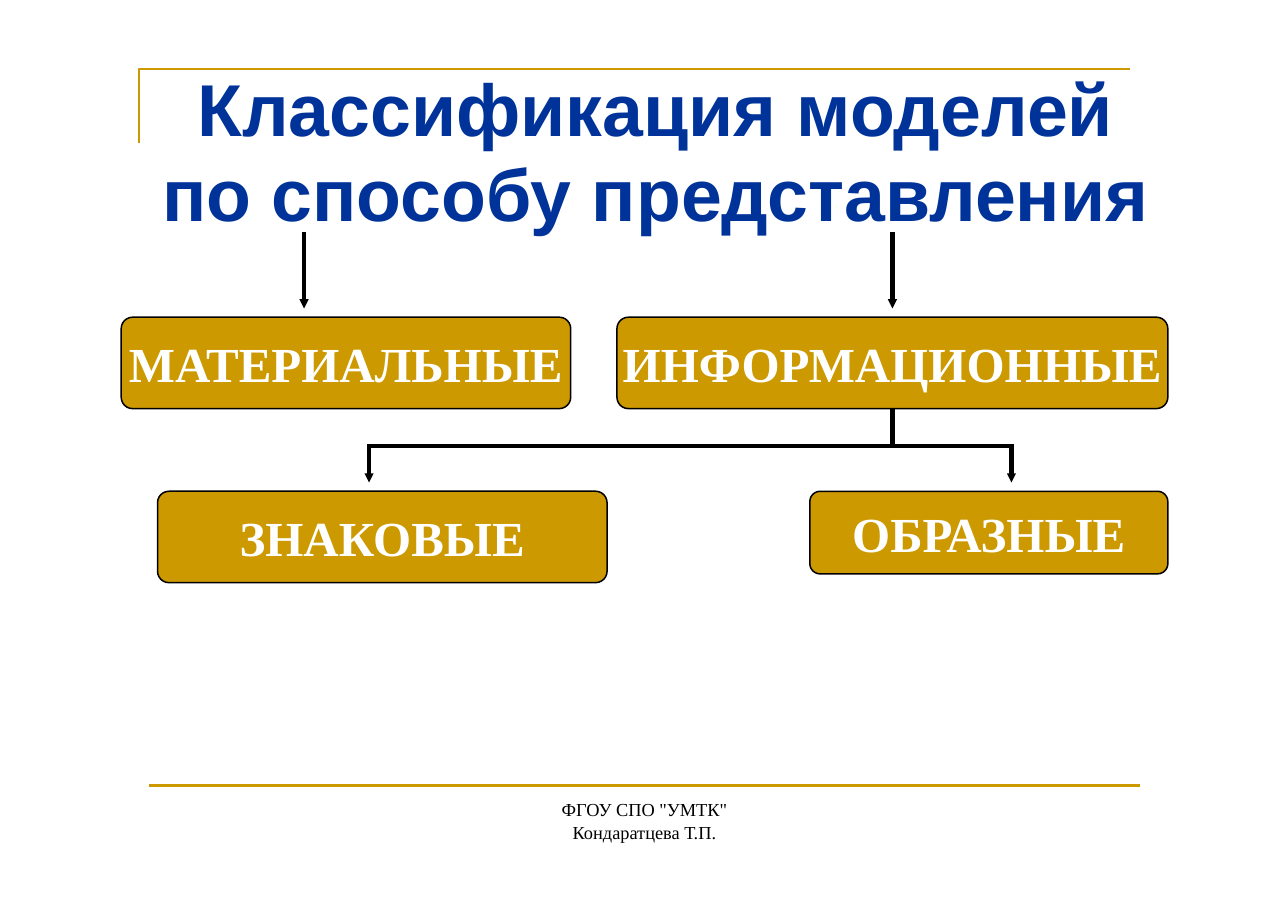
"""Builds a one-slide deck that classifies models by their way of representation."""
from lxml.etree import SubElement
from pptx import Presentation
from pptx.dml.color import RGBColor
from pptx.enum.shapes import MSO_CONNECTOR, MSO_SHAPE
from pptx.enum.text import MSO_ANCHOR, PP_ALIGN
from pptx.oxml.ns import qn
from pptx.util import Inches, Pt

GOLD, BLACK, WHITE, NAVY = "CC9900", "000000", "FFFFFF", "00339A"


def write(shape, lines, font, size, color, bold, spacing):
    """Fill a shape with centred lines of text."""
    frame = shape.text_frame
    frame.word_wrap = True
    frame.margin_left = frame.margin_right = frame.margin_top = frame.margin_bottom = 0
    frame.text = "\n".join(lines)
    for para in frame.paragraphs:
        para.alignment = PP_ALIGN.CENTER
        para.line_spacing = spacing
        para.font.name = font
        para.font.size = Pt(size)
        para.font.bold = bold
        para.font.color.rgb = RGBColor.from_string(color)


def draw_line(page, start, end, color, width, arrow=False):
    """Draw a straight line, with an arrowhead at its end if asked."""
    points = [Inches(value) for value in (*start, *end)]
    line = page.shapes.add_connector(MSO_CONNECTOR.STRAIGHT, *points)
    line.line.color.rgb = RGBColor.from_string(color)
    line.line.width = Pt(width)
    if arrow:
        SubElement(line.line._get_or_add_ln(), qn("a:tailEnd"), type="triangle", w="sm", len="sm")
    SubElement(line._element.spPr, qn("a:effectLst"))


deck = Presentation()
deck.slide_width, deck.slide_height = Inches(11.69), Inches(8.27)
page = deck.slides.add_slide(deck.slide_layouts[5])

corner = page.shapes.build_freeform(Inches(1.26), Inches(1.3), scale=1.0)
corner.add_line_segments(
    [(Inches(1.26), Inches(0.63)), (Inches(10.26), Inches(0.63))], close=False
)
frame_line = corner.convert_to_shape()
frame_line.shadow.inherit = False
frame_line.fill.background()
frame_line.line.color.rgb = RGBColor.from_string(GOLD)
frame_line.line.width = Pt(1.5)
draw_line(page, (1.35, 7.13), (10.35, 7.13), GOLD, 1.5)

categories = [
    ("МАТЕРИАЛЬНЫЕ", 1.1, 2.88, 4.08, 0.83),
    ("ИНФОРМАЦИОННЫЕ", 5.6, 2.88, 5, 0.83),
    ("ЗНАКОВЫЕ", 1.43, 4.46, 4.08, 0.83),
    ("ОБРАЗНЫЕ", 7.35, 4.46, 3.25, 0.75),
]
for name, left, top, width, height in categories:
    box = page.shapes.add_shape(
        MSO_SHAPE.ROUNDED_RECTANGLE, Inches(left), Inches(top), Inches(width), Inches(height)
    )
    box.adjustments[0] = 0.125
    box.shadow.inherit = False
    box.fill.solid()
    box.fill.fore_color.rgb = RGBColor.from_string(GOLD)
    box.line.color.rgb = RGBColor.from_string(BLACK)
    box.line.width = Pt(1)
    write(box, [name], "Times New Roman", 32, WHITE, True, 1.0)
    box.text_frame.vertical_anchor = MSO_ANCHOR.MIDDLE

for x, top, bottom in [(2.76, 2.11, 2.8), (8.1, 2.11, 2.8), (3.35, 4.03, 4.38), (9.18, 4.03, 4.38)]:
    draw_line(page, (x, top), (x, bottom), BLACK, 3, arrow=True)
draw_line(page, (8.1, 3.71), (8.1, 4.05), BLACK, 3)
draw_line(page, (3.35, 4.05), (9.18, 4.05), BLACK, 3)

footer = page.shapes.add_textbox(Inches(4.85), Inches(7.25), Inches(2), Inches(0.42))
write(footer, ['ФГОУ СПО "УМТК"', "Кондаратцева Т.П."], "Times New Roman", 12, BLACK, False, Pt(14.4))

title = page.shapes.title
title.left, title.top, title.width, title.height = (
    Inches(value) for value in (1.2, 0.59, 9.5, 1.59)
)
write(title, ["Классификация моделей", "по способу представления"], "Arial", 48, NAVY, True, Pt(56))
title.text_frame.vertical_anchor = MSO_ANCHOR.TOP
page.shapes._spTree.append(title._element)

deck.save("out.pptx")
